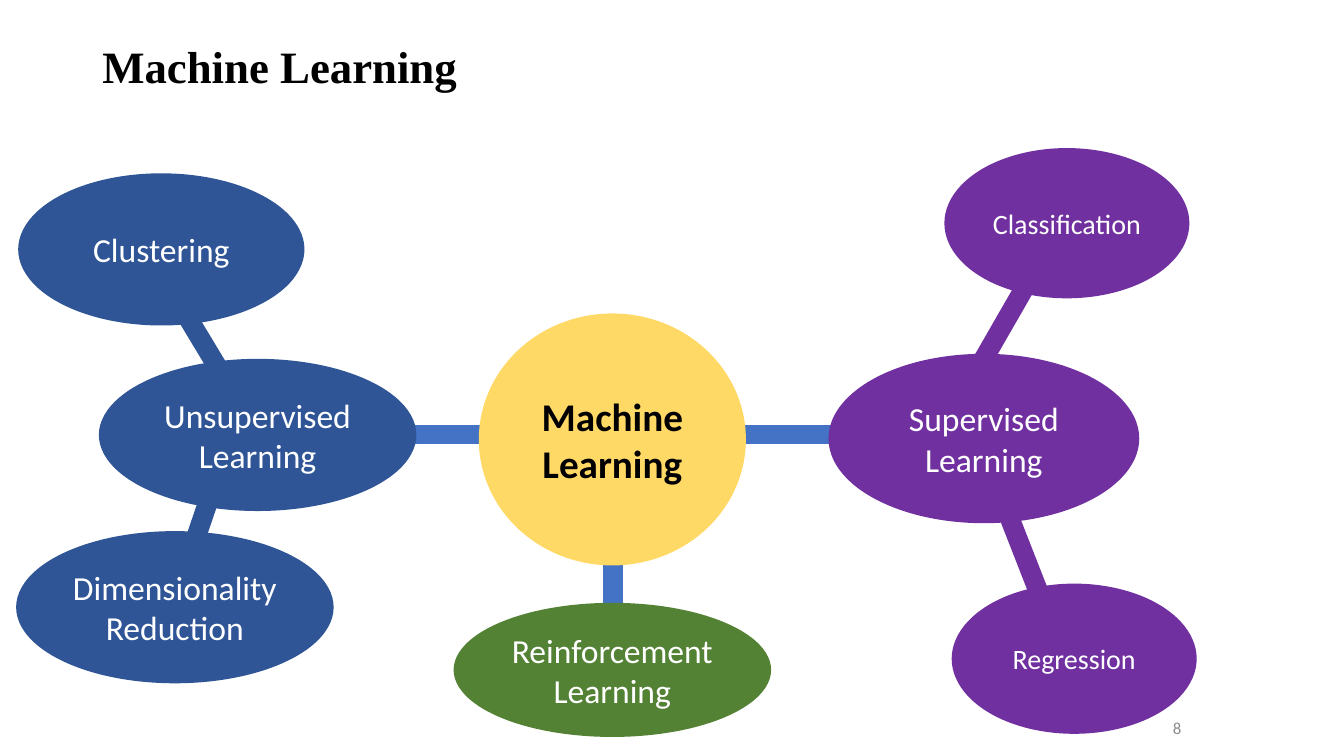
from dataclasses import dataclass
from lxml.etree import SubElement
from pptx import Presentation
from pptx.dml.color import RGBColor
from pptx.enum.shapes import MSO_CONNECTOR, MSO_SHAPE
from pptx.enum.text import MSO_ANCHOR, PP_ALIGN
from pptx.oxml.ns import qn
from pptx.util import Pt


@dataclass(frozen=True)
class Theme:
    blue: str = "2F5597"
    link: str = "4472C4"
    purple: str = "7030A0"
    green: str = "548235"
    gold: str = "FFD966"
    black: str = "000000"
    white: str = "FFFFFF"
    gray: str = "8C8C8C"
    head: str = "Times New Roman"
    body: str = "Calibri"
    title: int = 32
    hub: int = 28
    main: int = 24
    leaf: int = 20
    note: int = 12
    bar: int = 14


THEME = Theme()


def write(frame, text, size, color, font=THEME.body, bold=False,
          align=PP_ALIGN.CENTER, anchor=MSO_ANCHOR.MIDDLE):
    """Fill a text frame with one styled paragraph and return it."""
    frame.word_wrap = True
    frame.vertical_anchor = anchor
    para = frame.paragraphs[0]
    para.text = text
    para.alignment = align
    face = para.runs[0].font
    face.name, face.size, face.bold = font, Pt(size), bold
    face.color.rgb = RGBColor.from_string(color)
    return para


def bar(slide, box, start, end, color):
    """Draw a thick link; both ends are relative to the box."""
    left, top = box
    line = slide.shapes.add_connector(
        MSO_CONNECTOR.STRAIGHT, Pt(left + start[0]), Pt(top + start[1]),
        Pt(left + end[0]), Pt(top + end[1]))
    line.line.color.rgb = RGBColor.from_string(color)
    line.line.width = Pt(THEME.bar)
    SubElement(line._element.spPr, qn("a:effectLst"))


def oval(slide, box, place, text, fill, size=THEME.main, color=THEME.white,
         bold=False):
    """Draw a labelled ellipse; its place is relative to the box."""
    x, y, wide, high = place
    shape = slide.shapes.add_shape(
        MSO_SHAPE.OVAL, Pt(box[0] + x), Pt(box[1] + y), Pt(wide), Pt(high))
    shape.shadow.inherit = False
    shape.fill.solid()
    shape.fill.fore_color.rgb = RGBColor.from_string(fill)
    shape.line.fill.background()
    frame = shape.text_frame
    frame.margin_left = frame.margin_right = Pt(5)
    write(frame, text, size, color, bold=bold)


def title(slide, box):
    shape = slide.shapes.add_textbox(*map(Pt, box))
    para = write(shape.text_frame, "Machine Learning", THEME.title,
                 THEME.black, THEME.head, True, PP_ALIGN.LEFT, MSO_ANCHOR.TOP)
    para.line_spacing = 0.9


def center(slide, box):
    """Draw the hub, its links and the reinforcement branch."""
    bar(slide, box, (178, 137.5), (178, 222.5), THEME.link)
    bar(slide, box, (0, 86.4), (458, 86.4), THEME.link)
    oval(slide, box, (82.1, 0, 190.8, 180), "Machine Learning", THEME.gold,
         THEME.hub, THEME.black, True)
    oval(slide, box, (64.1, 206.7, 226.8, 95.8), "Reinforcement Learning",
         THEME.green)


def unsupervised(slide, box):
    wide, high = 226.8, 108.7
    bar(slide, box, (146.9, 206), (119.5, 286.6), THEME.blue)
    bar(slide, box, (104.4, 72.8), (162, 168.5), THEME.blue)
    for text, x, y, width in (("Clustering", 1.5, 0, 204.5),
                              ("Unsupervised Learning", 59.1, 132.5, wide),
                              ("Dimensionality Reduction", 0, 255.6, wide)):
        oval(slide, box, (x, y, width, high), text, THEME.blue)


def supervised(slide, box):
    bar(slide, box, (146.9, 87.9), (103, 164.2), THEME.purple)
    bar(slide, box, (124.6, 252), (157, 334.8), THEME.purple)
    oval(slide, box, (0, 146.9, 222, 121), "Supervised Learning",
         THEME.purple)
    for text, x, y in (("Classification", 82.8, 0), ("Regression", 88, 311.1)):
        oval(slide, box, (x, y, 175, 107.3), text, THEME.purple, THEME.leaf)


def number(slide, box):
    shape = slide.shapes.add_textbox(*map(Pt, box))
    write(shape.text_frame, "8", THEME.note, THEME.gray,
          align=PP_ALIGN.RIGHT)


def main():
    deck = Presentation()
    deck.slide_width, deck.slide_height = Pt(960), Pt(540)
    slide = deck.slides.add_slide(deck.slide_layouts[6])
    title(slide, (66, 28.8, 828, 72))
    center(slide, (259.9, 223.9))
    unsupervised(slide, (11.5, 123.8))
    supervised(slide, (591.8, 105.8))
    number(slide, (635, 505.4, 216, 28.8))
    deck.save("out.pptx")


if __name__ == "__main__":
    main()
